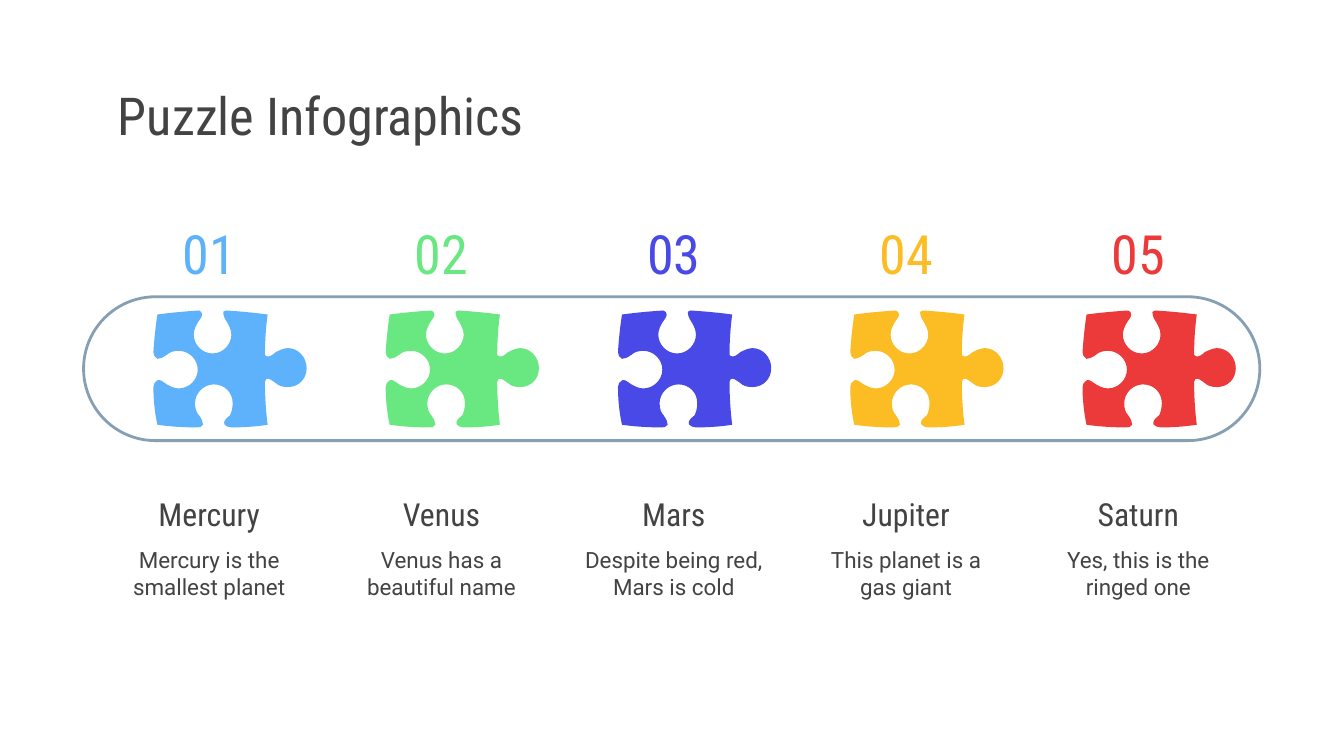
import lxml.etree
import pptx
import pptx.util
import pptx.dml.color
import pptx.enum.shapes
import pptx.enum.text
import pptx.oxml.ns

Cm = pptx.util.Cm
ALIGN = pptx.enum.text.PP_ALIGN
ANCHOR = pptx.enum.text.MSO_ANCHOR

DARK = "434343"
HEADING_FONT = "Roboto Condensed"
PITCH = 4.39
PIECE_LEFT = 2.9
PIECE_TOP = 5.87
PIECE_UNITS_PER_CM = 39.37

PLANETS = [
    ("Mercury", "Mercury is the smallest planet", "5EB2FC"),
    ("Venus", "Venus has a beautiful name", "69E781"),
    ("Mars", "Despite being red, Mars is cold", "4949E7"),
    ("Jupiter", "This planet is a gas giant", "FCBD24"),
    ("Saturn", "Yes, this is the ringed one", "EC3A3B"),
]

PIECE_START = (37, 85)
PIECE_CURVES = [
    (37, 83, 36, 81, 34, 78),
    (32, 76, 31, 73, 31, 69),
    (31, 62, 37, 55, 45, 55),
    (53, 55, 59, 61, 59, 69),
    (59, 73, 58, 76, 57, 78),
    (53, 81, 52, 83, 53, 85),
    (54, 86, 56, 87, 58, 87),
    (74, 87, 85, 85, 85, 85),
    (85, 85, 83, 71, 83, 53),
    (83, 52, 83, 52, 84, 51),
    (86, 50, 88, 52, 91, 54),
    (93, 56, 96, 57, 100, 57),
    (108, 57, 114, 51, 114, 43),
    (114, 35, 108, 28, 100, 28),
    (97, 28, 93, 30, 91, 31),
    (89, 33, 86, 35, 84, 34),
    (83, 34, 83, 34, 83, 33),
    (83, 16, 85, 3, 85, 3),
    (85, 3, 71, 1, 54, 0),
    (53, 1, 53, 1, 52, 1),
    (52, 4, 53, 6, 55, 9),
    (56, 11, 58, 14, 58, 18),
    (58, 25, 52, 32, 44, 32),
    (36, 32, 30, 25, 30, 18),
    (30, 14, 32, 11, 33, 9),
    (35, 6, 37, 4, 36, 2),
    (36, 1, 35, 1, 34, 0),
    (17, 1, 3, 3, 3, 3),
    (3, 3, 1, 15, 0, 31),
    (0, 33, 1, 35, 3, 36),
    (5, 36, 7, 35, 10, 33),
    (12, 31, 15, 30, 19, 30),
    (26, 30, 33, 36, 33, 44),
    (33, 52, 26, 58, 19, 58),
    (15, 58, 12, 56, 10, 55),
    (7, 53, 5, 51, 3, 52),
    (1, 53, 0, 55, 0, 57),
    (0, 73, 3, 85, 3, 85),
    (3, 85, 15, 87, 32, 87),
    (34, 87, 36, 87, 37, 85),
]


def rgb(value):
    return pptx.dml.color.RGBColor.from_string(value)


def add_text(s, text, left, top, width, height, *, size, font=HEADING_FONT,
             color=DARK, align=ALIGN.CENTER, anchor=ANCHOR.MIDDLE):
    sp = s.shapes.add_textbox(Cm(left), Cm(top), Cm(width), Cm(height))
    tf = sp.text_frame
    tf.word_wrap = True
    tf.vertical_anchor = anchor
    tf.margin_left = tf.margin_right = Cm(0.25)
    tf.margin_top = tf.margin_bottom = Cm(0.25)
    p = tf.paragraphs[0]
    p.alignment = align
    r = p.add_run()
    r.text = text
    r.font.size = pptx.util.Pt(size)
    r.font.name = font
    r.font.color.rgb = rgb(color)


def add_capsule(s, left, top, width, height, color):
    sp = s.shapes.add_shape(pptx.enum.shapes.MSO_SHAPE.ROUNDED_RECTANGLE,
                            Cm(left), Cm(top), Cm(width), Cm(height))
    sp.adjustments[0] = 0.5
    sp.shadow.inherit = False
    sp.fill.background()
    sp.line.color.rgb = rgb(color)
    sp.line.width = pptx.util.Pt(1.5)


def lines_to_curves(sp):
    lines = sp.element.xpath(".//a:lnTo")
    for first in range(0, len(lines), 3):
        curve = lxml.etree.Element(pptx.oxml.ns.qn("a:cubicBezTo"))
        lines[first].addprevious(curve)
        for line in lines[first:first + 3]:
            curve.append(line[0])
            line.getparent().remove(line)


def add_piece(s, left, top, color):
    builder = s.shapes.build_freeform(*PIECE_START, scale=Cm(1) / PIECE_UNITS_PER_CM)
    for x1, y1, x2, y2, x3, y3 in PIECE_CURVES:
        builder.add_line_segments([(x1, y1), (x2, y2), (x3, y3)], close=False)
    builder.add_line_segments([], close=True)
    sp = builder.convert_to_shape(Cm(left), Cm(top))
    lines_to_curves(sp)
    sp.shadow.inherit = False
    sp.fill.solid()
    sp.fill.fore_color.rgb = rgb(color)
    sp.line.fill.background()


def add_planet(s, index, name, description, color):
    left = PIECE_LEFT + index * PITCH
    caption_left = left - 0.89
    add_piece(s, left, PIECE_TOP, color)
    add_text(s, f"{index + 1:02}", left, 4.34, 2.11, 0.89, size=29, color=color)
    add_text(s, name, caption_left, 9.12, 3.89, 1.19, size=17)
    add_text(s, description, caption_left, 10.08, 3.89, 1.52, size=12,
             font="Roboto", anchor=ANCHOR.TOP)


def main():
    prs = pptx.Presentation()
    prs.slide_width = Cm(25.4)
    prs.slide_height = Cm(14.29)
    s = prs.slides.add_slide(prs.slide_layouts[6])
    add_capsule(s, 1.58, 5.61, 22.23, 2.72, "869FB2")
    add_text(s, "Puzzle Infographics", 1.98, 1.5, 21.46, 1.35, size=28,
             align=ALIGN.LEFT)
    for index, planet in enumerate(PLANETS):
        add_planet(s, index, *planet)
    prs.save("out.pptx")


if __name__ == "__main__":
    main()
